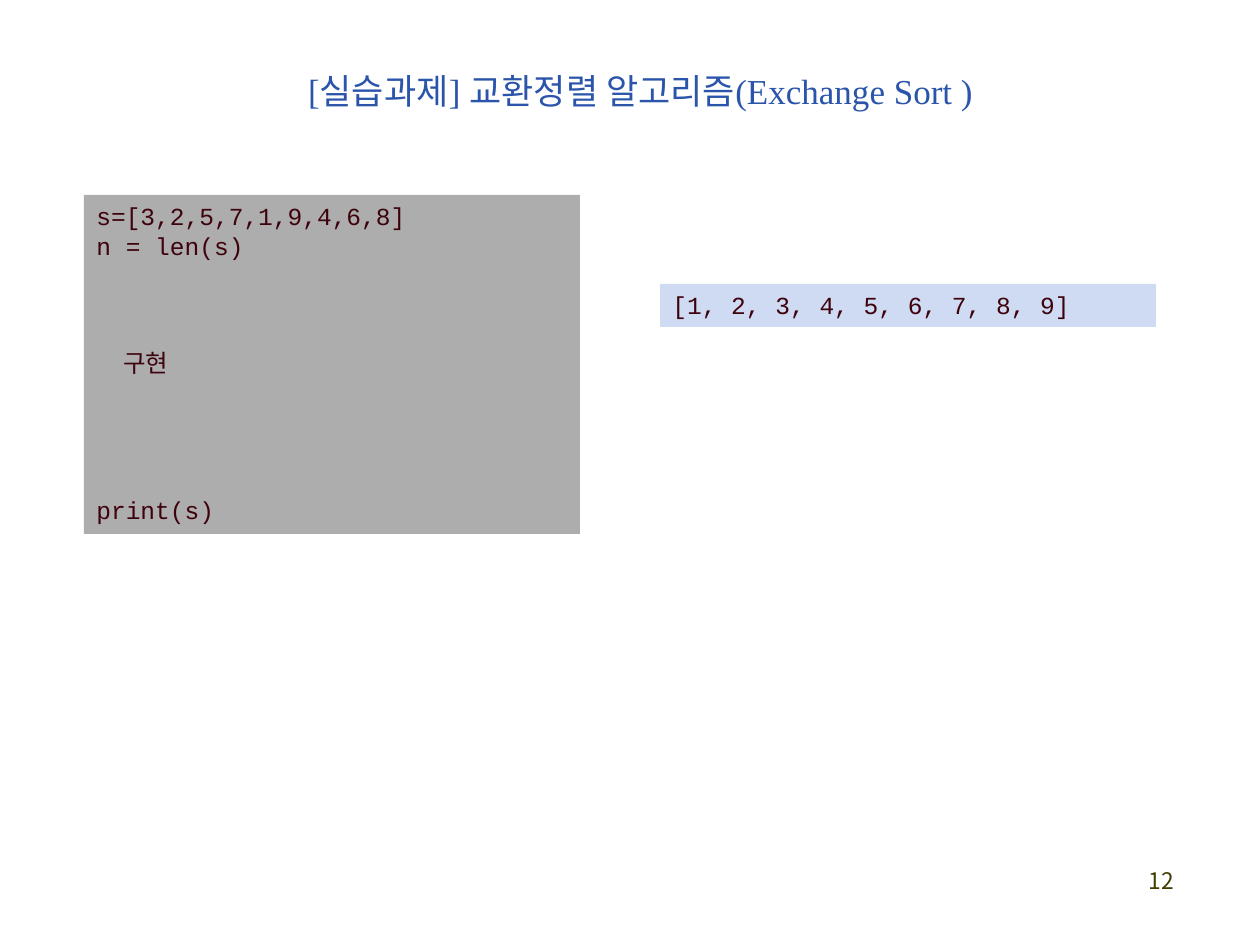
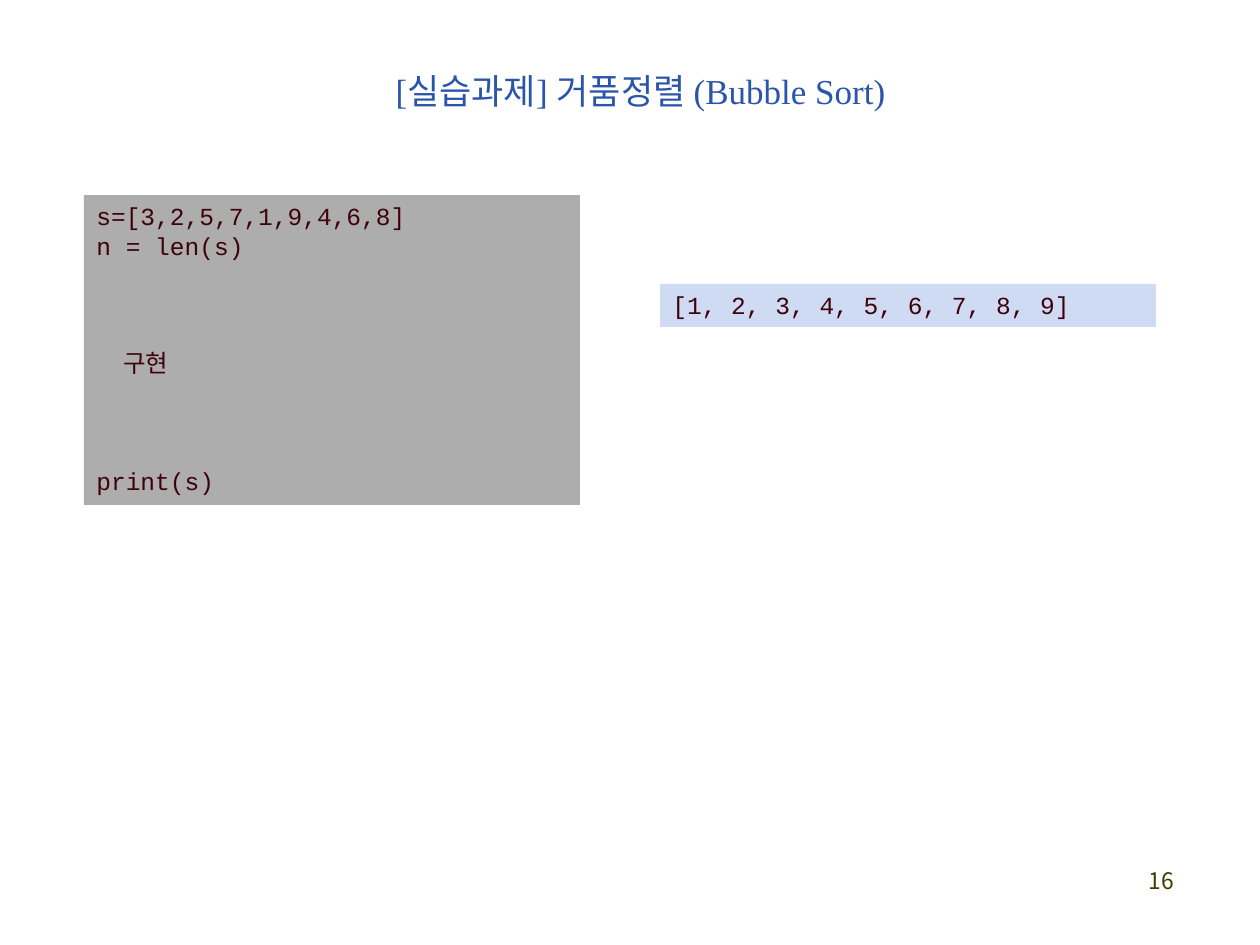
"""Build two sorting exercise slides with code and its result."""
from pptx import Presentation, util as u
from pptx.dml.color import RGBColor
from pptx.enum import text as t
from pptx.oxml.ns import qn

PX = 914400 / 126
LINE = 16.8
HUES = {"title": "2A55AA", "page": "3F3E00", "code": "3E020C",
        "grey": "ADADAD", "blue": "CFDBF3"}
HANGUL = "Noto Sans CJK KR"


def emu(*nums):
    """Turn px into EMU."""
    return [u.Emu(round(n * PX)) for n in nums]


class Deck:
    """Hold the style and the current slide."""

    def __init__(self):
        """Open an empty deck of 10 by 7.5 inches."""
        self.prs = Presentation()
        self.prs.slide_width, self.prs.slide_height = emu(1260, 945)
        self.slide = None

    def style(self, para, face, size, hue, align):
        """Format a paragraph and its runs."""
        para.alignment = align
        for run in para.runs:
            font = run.font
            font.name, font.size = face, u.Pt(size)
            font.color.rgb = RGBColor.from_string(HUES[hue])
            east = run._r.get_or_add_rPr().makeelement(qn("a:ea"), {"typeface": HANGUL})
            font._element.find(qn("a:latin")).addnext(east)

    def title(self, words):
        """Start a slide with its title."""
        self.slide = self.prs.slides.add_slide(self.prs.slide_layouts[5])
        box = self.slide.shapes.title
        box.left, box.top, box.width, box.height = emu(105, 43, 1071, 94)
        frame = box.text_frame
        frame.text = words
        frame.vertical_anchor = t.MSO_ANCHOR.MIDDLE
        self.style(frame.paragraphs[0], "Times New Roman", 20, "title", t.PP_ALIGN.CENTER)

    def page(self, num):
        """Add the page number."""
        frame = self.slide.shapes.add_textbox(*emu(924, 861, 262, 63)).text_frame
        frame.word_wrap = True
        frame.text = str(num)
        self.style(frame.paragraphs[0], HANGUL, 13, "page", t.PP_ALIGN.RIGHT)

    def code(self, left, top, high, fill, rows):
        """Add a filled code box; each row is words, blank lines above, indent."""
        box = self.slide.shapes.add_textbox(*emu(left, top, 496, high))
        box.fill.solid()
        box.fill.fore_color.rgb = RGBColor.from_string(HUES[fill])
        frame = box.text_frame
        frame.word_wrap = True
        frame.text = "\n".join(words for words, _, _ in rows)
        for para, (_, gap, indent) in zip(frame.paragraphs, rows):
            para.line_spacing = u.Pt(LINE)
            para.space_before = u.Pt(gap * LINE)
            props = para._p.get_or_add_pPr()
            props.set("marL", str(emu(indent)[0]))
            props.set("indent", "0")
            self.style(para, "Courier New", 14, "code", t.PP_ALIGN.LEFT)


def main():
    """Build and save the deck."""
    deck = Deck()
    tasks = [("[실습과제] 교환정렬 알고리즘(Exchange Sort )", 12, 4, 339),
             ("[실습과제] 거품정렬 (Bubble Sort)", 16, 3, 310)]
    for name, num, gap, high in tasks:
        deck.title(name)
        deck.page(num)
        deck.code(84, 195, high, "grey", [
            ("s=[3,2,5,7,1,9,4,6,8]", 0, 0), ("n = len(s)", 0, 0),
            ("구현", 3, 27), ("print(s)", gap, 0)])
        deck.code(660, 284, 43, "blue", [("[1, 2, 3, 4, 5, 6, 7, 8, 9]", 0, 0)])
    deck.prs.save("out.pptx")


if __name__ == "__main__":
    main()
